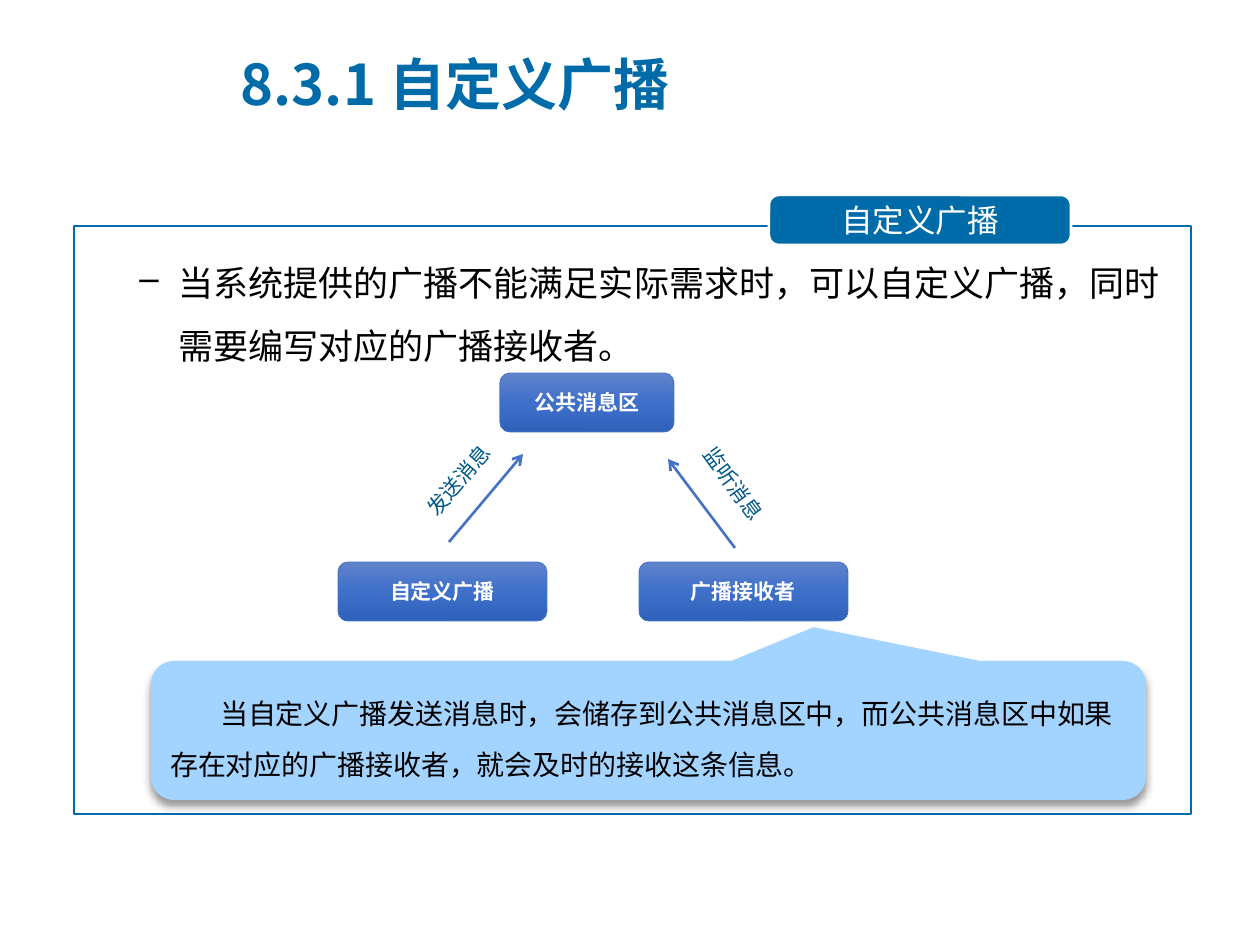
from copy import deepcopy

from lxml.etree import SubElement
from pptx import Presentation
from pptx.dml.color import RGBColor
from pptx.enum.shapes import MSO_CONNECTOR as Connector, MSO_SHAPE as Shape
from pptx.enum.text import MSO_ANCHOR as Anchor, PP_ALIGN as Align
from pptx.oxml.ns import qn
from pptx.util import Emu, Pt

TITLE = "8.3.1 自定义广播"
HEADING = "自定义广播"
INTRO = "当系统提供的广播不能满足实际需求时，可以自定义广播，同时需要编写对应的广播接收者。"
NOTE = "当自定义广播发送消息时，会储存到公共消息区中，而公共消息区中如果存在对应的广播接收者，就会及时的接收这条信息。"
NODES = [
    ("公共消息区", (500, 373, 174, 59)),
    ("自定义广播", (338, 562, 209, 59)),
    ("广播接收者", (639, 562, 209, 59)),
]
FLOWS = [
    ("发送消息", (381, 461, 155, 38), 310.9, (449, 542, 523, 454)),
    ("监听消息", (656, 465, 155, 38), 53.7, (735, 548, 668, 459)),
]
COLORS = {
    "main": "006BA9", "label": "01598B", "line": "4472C4", "note": "A3D3FF",
    "white": "FFFFFF", "black": "000000",
}
NODE_GRADIENT = [(0, "6183CB"), (0.5, "3E70CA"), (1, "3062BB")]
SANS, CJK = "Arial", "Noto Sans CJK SC"


def px(*values):
    return [Emu(round(value * 914400 / 126)) for value in values]


def rgb(name):
    return RGBColor.from_string(COLORS[name])


def write(shape, text, size, color, font=SANS, bold=False, align=Align.LEFT, anchor=Anchor.MIDDLE):
    frame = shape.text_frame
    frame.word_wrap = True
    frame.vertical_anchor = anchor
    frame.text = text
    paragraph = frame.paragraphs[0]
    paragraph.alignment = align
    paragraph.font.name = font
    paragraph.font.size = Pt(size)
    paragraph.font.bold = bold
    paragraph.font.color.rgb = rgb(color)
    return paragraph


def indent(paragraph, left, first):
    properties = paragraph._p.get_or_add_pPr()
    for key, value in zip(("marL", "indent"), px(left, first)):
        properties.set(key, str(value))
    return properties


def add_box(kind, place, fill=None, line=None, width=1.5):
    shape = slide.shapes.add_shape(kind, *px(*place))
    shape.shadow.inherit = False
    if fill:
        shape.fill.solid()
        shape.fill.fore_color.rgb = rgb(fill)
    else:
        shape.fill.background()
    if line:
        shape.line.color.rgb = rgb(line)
        shape.line.width = Pt(width)
    else:
        shape.line.fill.background()
    return shape


def add_node(text, place):
    node = add_box(Shape.ROUNDED_RECTANGLE, place, line="line", width=0.5)
    node.fill.gradient()
    node.fill.gradient_angle = 270
    first_stop = next(node._element.spPr.iter(qn("a:gs")))
    first_stop.addnext(deepcopy(first_stop))
    for stop, (position, color) in zip(node.fill.gradient_stops, NODE_GRADIENT):
        stop.position = position
        stop.color.rgb = RGBColor.from_string(color)
    write(node, text, 12, "white", bold=True, align=Align.CENTER)


def add_flow(text, place, angle, ends):
    arrow = slide.shapes.add_connector(Connector.STRAIGHT, *px(*ends))
    arrow.line.color.rgb = rgb("line")
    arrow.line.width = Pt(1.5)
    SubElement(arrow.line._get_or_add_ln(), qn("a:tailEnd"), type="arrow")
    SubElement(arrow._element.spPr, qn("a:effectLst"))
    label = slide.shapes.add_textbox(*px(*place))
    label.rotation = angle
    write(label, text, 12, "label", align=Align.CENTER, anchor=Anchor.TOP)


def add_shadow(shape):
    effects = shape._element.spPr.find(qn("a:effectLst"))
    shadow = SubElement(effects, qn("a:outerShdw"), blurRad=str(Pt(4)), dist=str(Pt(3)),
                        dir="5400000", algn="t", rotWithShape="0")
    color = SubElement(shadow, qn("a:srgbClr"), val=COLORS["black"])
    SubElement(color, qn("a:alpha"), val="40000")


deck = Presentation()
deck.slide_width, deck.slide_height = px(1260, 945)
slide = deck.slides.add_slide(deck.slide_layouts[5])

title = slide.shapes.title
title.left, title.top, title.width, title.height = px(228, 30, 917, 106)
write(title, TITLE, 32, "main", CJK, bold=True)

add_box(Shape.RECTANGLE, (74, 226, 1117, 588), line="main")
heading = add_box(Shape.ROUNDED_RECTANGLE, (769, 195, 302, 50), "main", "white")
heading.adjustments[0] = 0.2
write(heading, HEADING, 18, "white", CJK, align=Align.CENTER)

intro = slide.shapes.add_textbox(*px(64, 234, 1110, 129))
intro_line = write(intro, INTRO, 20, "black", anchor=Anchor.TOP)
intro_line.line_spacing = 1.5
intro_line.space_before = Pt(4)
SubElement(indent(intro_line, 102, -39), qn("a:buChar"), char="–")

for node in NODES:
    add_node(*node)
for flow in FLOWS:
    add_flow(*flow)

note = add_box(Shape.ROUNDED_RECTANGULAR_CALLOUT, (151, 661, 995, 139), "note")
for index, value in enumerate((0.166, -0.743, 0.167)):
    note.adjustments[index] = value
add_shadow(note)
note_line = write(note, NOTE, 16, "black")
note_line.line_spacing = 1.5
indent(note_line, 0, 50)

deck.save("out.pptx")
